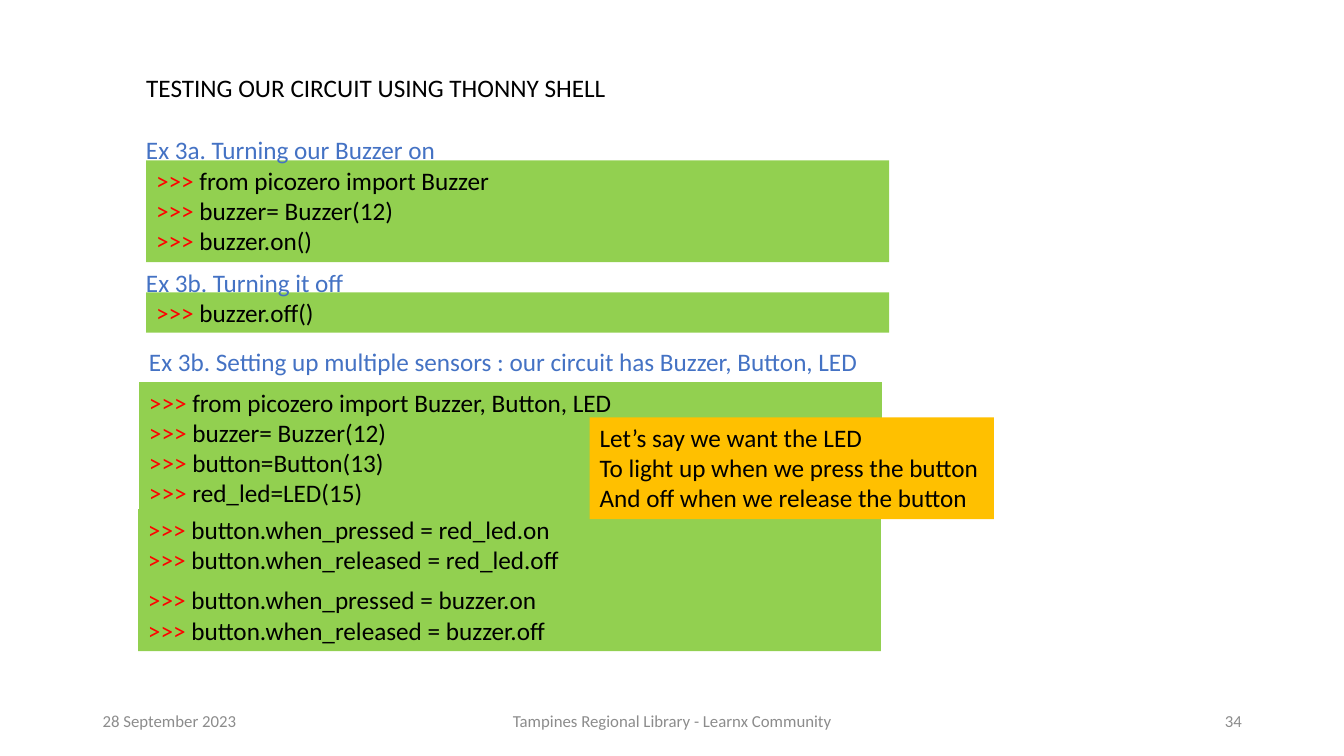
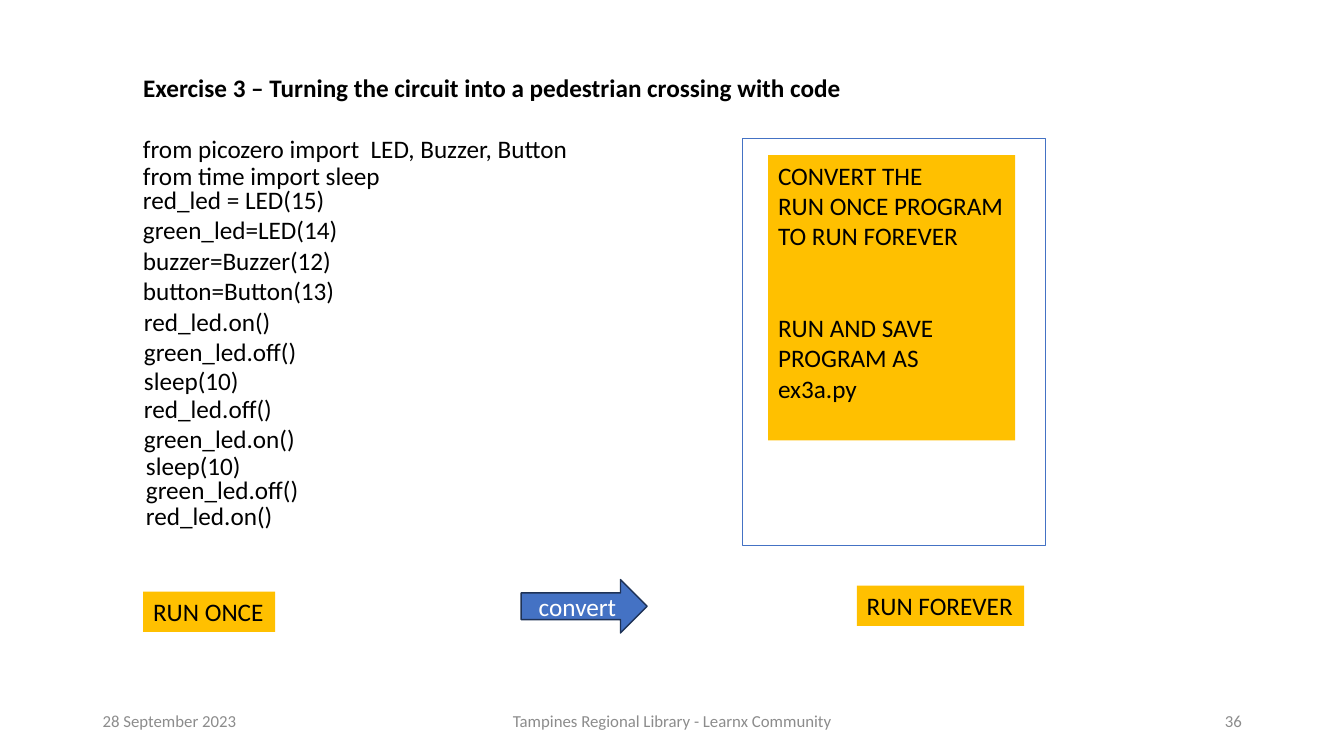
from pptx import Presentation
from pptx.dml.color import RGBColor
from pptx.enum.shapes import MSO_SHAPE
from pptx.enum.text import MSO_ANCHOR, MSO_AUTO_SIZE, PP_ALIGN
from pptx.util import Inches, Pt

# Grid: square cells, 133.33 columns by 75 rows
CELL = Inches(0.1)
BLACK, WHITE, RED, BLUE = "000000", "FFFFFF", "FF0000", "4472C4"
GREEN, AMBER, GREY, NAVY = "92D050", "FFC000", "8C8C8C", "1E3256"
FONT, PROMPT, ROW = "Calibri", ">>> ", 4

prs = Presentation()
prs.slide_width, prs.slide_height = round(133.33 * CELL), 75 * CELL


def rgb(value):
    return RGBColor.from_string(value)


def text(s, content, at, sp=None, shape=None, fill=None, line=None, line_width=1,
         size=18, color=BLACK, bold=False, align=PP_ALIGN.LEFT,
         anchor=MSO_ANCHOR.TOP, before=None):
    """Put lines of text at (column, row, columns, rows), in a box, shape or given placeholder."""
    box = [round(v * CELL) for v in at]
    if sp is not None:
        sp.left, sp.top, sp.width, sp.height = box
    elif shape is None:
        sp = s.shapes.add_textbox(*box)
    else:
        sp = s.shapes.add_shape(shape, *box)
        sp.shadow.inherit = False
        if fill:
            sp.fill.solid()
            sp.fill.fore_color.rgb = rgb(fill)
        else:
            sp.fill.background()
        if line:
            sp.line.color.rgb = rgb(line)
            sp.line.width = Pt(line_width)
        else:
            sp.line.fill.background()
    tf = sp.text_frame
    tf.word_wrap = True
    tf.auto_size = MSO_AUTO_SIZE.NONE
    tf.vertical_anchor = anchor
    if align == PP_ALIGN.LEFT:
        tf.margin_right = 0
    for i, row in enumerate(content.split("\n") if content else []):
        p = tf.add_paragraph() if i else tf.paragraphs[0]
        p.alignment = align
        p.space_before = Pt((before or {}).get(i, 0))
        parts = [(row, color)]
        if row.startswith(PROMPT):
            parts = [(PROMPT, RED), (row.removeprefix(PROMPT), color)]
        for words, tone in parts:
            r = p.add_run()
            r.text = words
            r.font.name, r.font.size, r.font.bold = FONT, Pt(size), bold
            r.font.color.rgb = rgb(tone)
    return sp


# Shared title and footer
slides = []
for title, left, bold, number in (
    ("TESTING OUR CIRCUIT USING THONNY SHELL", 13.5, False, "34"),
    ("Exercise 3 – Turning the circuit into a pedestrian crossing with code", 13.2, True, "36"),
):
    s = prs.slides.add_slide(prs.slide_layouts[5])
    text(s, title, (left, 6.7, 80, ROW), sp=s.shapes.title, bold=bold)
    for words, col, width, align in (
        ("28 September 2023", 9.2, 30, PP_ALIGN.LEFT),
        ("Tampines Regional Library - Learnx Community", 44.2, 45, PP_ALIGN.CENTER),
        (number, 94.2, 30, PP_ALIGN.RIGHT),
    ):
        text(s, words, (col, 69.5, width, ROW), size=12, color=GREY, align=align,
             anchor=MSO_ANCHOR.MIDDLE)
    slides.append(s)
shell, crossing = slides

# Shell slide: code panels
for code, col, row, height in (
    (">>> from picozero import Buzzer\n>>> buzzer= Buzzer(12)\n>>> buzzer.on()", 14.5, 15.9, 10.1),
    (">>> buzzer.off()", 14.5, 29, ROW),
    (">>> from picozero import Buzzer, Button, LED\n>>> buzzer= Buzzer(12)\n"
     ">>> button=Button(13)\n>>> red_led=LED(15)", 13.8, 37.9, 13.1),
    (">>> button.when_pressed = red_led.on\n>>> button.when_released = red_led.off",
     13.7, 50.5, 7.1),
    (">>> button.when_pressed = buzzer.on\n>>> button.when_released = buzzer.off",
     13.7, 57.5, 7.1),
):
    text(shell, code, (col, row, 73.7, height), shape=MSO_SHAPE.RECTANGLE, fill=GREEN)

# Shell slide: exercise headings and callout
for heading, col, row in (
    ("Ex 3a. Turning our Buzzer on", 13.5, 12.8),
    ("Ex 3b. Turning it off", 13.5, 26),
    ("Ex 3b. Setting up multiple sensors : our circuit has Buzzer, Button, LED", 13.8, 33.9),
):
    text(shell, heading, (col, row, 76.6, ROW), color=BLUE)
text(shell, "Let’s say we want the LED\nTo light up when we press the button\n"
     "And off when we release the button", (58.5, 41.4, 40.1, 10.1),
     shape=MSO_SHAPE.RECTANGLE, fill=AMBER)

# Crossing slide: run-once program
for code, col, row in (
    ("from picozero import  LED, Buzzer, Button", 13.2, 12.7),
    ("from time import sleep", 13.2, 15.4),
    ("red_led = LED(15)\ngreen_led=LED(14)\nbuzzer=Buzzer(12)\nbutton=Button(13)", 13.2, 17.8),
    ("red_led.on()\ngreen_led.off()", 13.3, 29.9),
    ("sleep(10)", 13.3, 35.8),
    ("red_led.off()", 13.3, 38.5),
    ("green_led.on()", 13.3, 41.5),
    ("sleep(10)", 13.5, 44.2),
    ("green_led.off()", 13.5, 46.6),
    ("red_led.on()", 13.5, 49.1),
):
    text(crossing, code, (col, row, 48, 1 + 3 * len(code.split("\n"))))

# Crossing slide: frame, task and labels
text(crossing, "", (73.7, 13.7, 30, 40.4), shape=MSO_SHAPE.RECTANGLE,
     line=BLUE, line_width=0.75)
for words, at, before in (
    ("CONVERT THE\nRUN ONCE PROGRAM\nTO RUN FOREVER\nRUN AND SAVE\nPROGRAM AS\nex3a.py",
     (76.2, 15.4, 24.5, 28.3), {3: 44}),
    ("RUN ONCE", (14.2, 58.7, 13.1, ROW), None),
    ("RUN FOREVER", (85, 58.1, 16.6, ROW), None),
):
    text(crossing, words, at, shape=MSO_SHAPE.RECTANGLE, fill=AMBER, before=before)
text(crossing, "convert", (51.7, 57.5, 12.5, 5.3), shape=MSO_SHAPE.RIGHT_ARROW, fill=BLUE,
     line=NAVY, color=WHITE, align=PP_ALIGN.CENTER, anchor=MSO_ANCHOR.MIDDLE)

prs.save("out.pptx")
